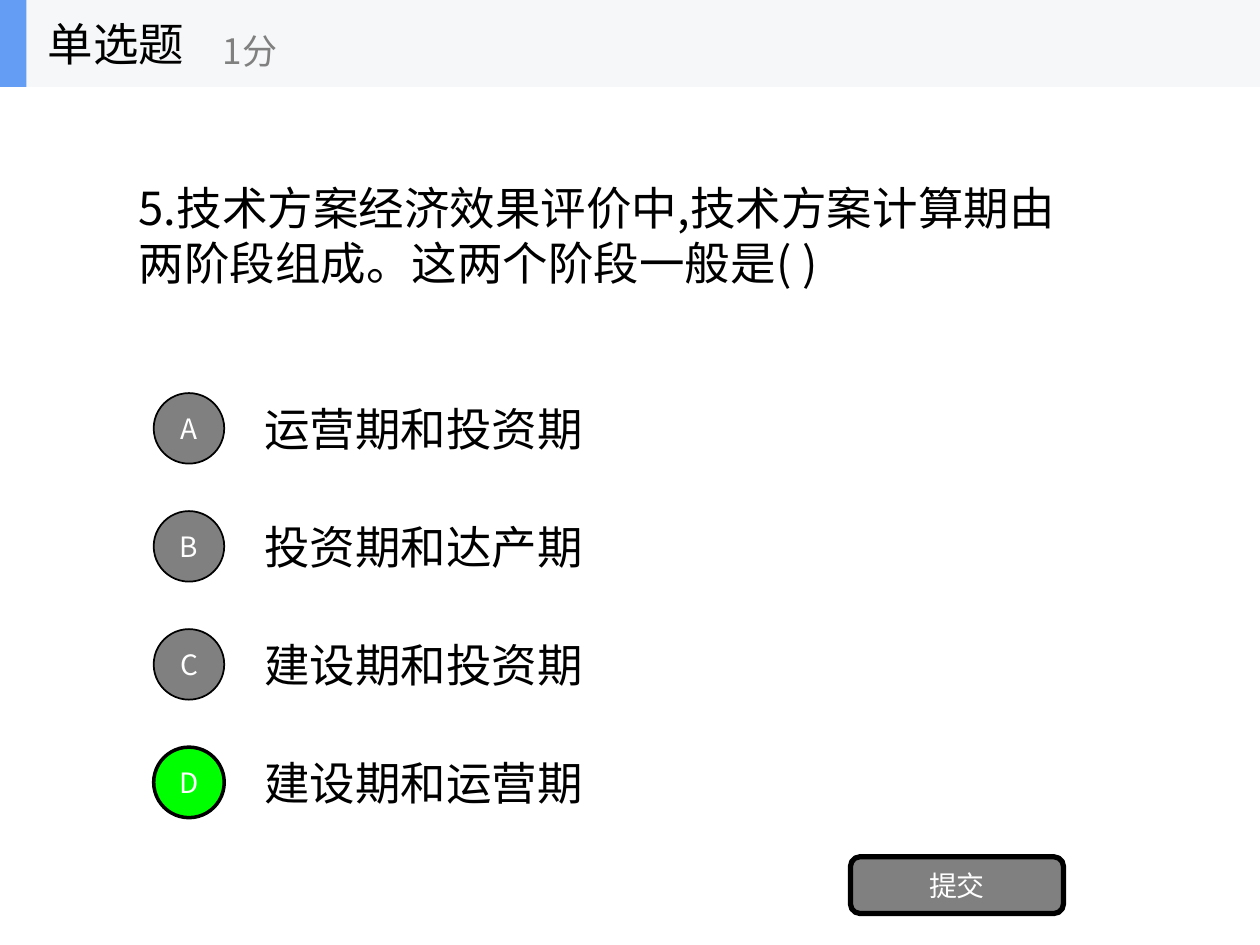
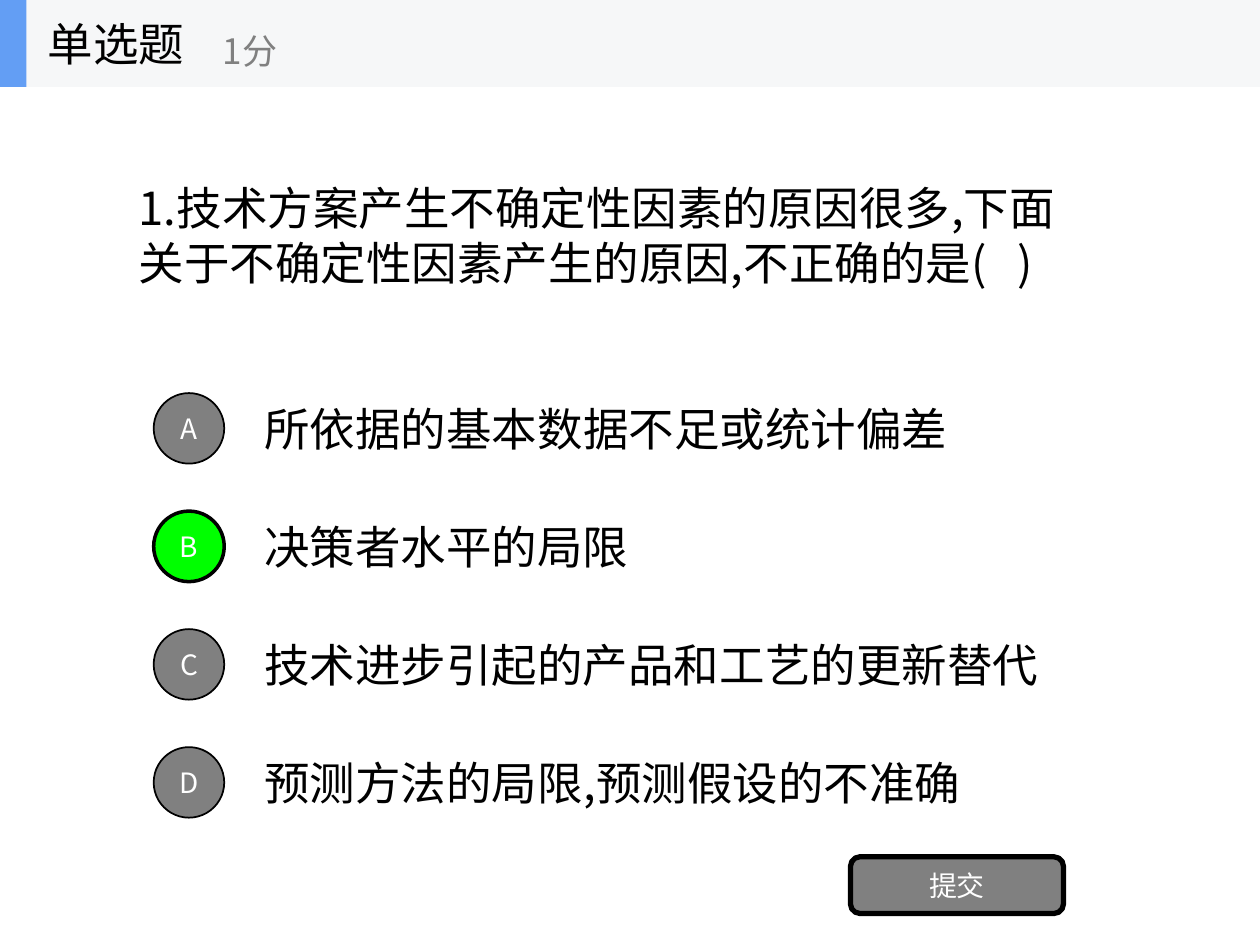
import pptx
import pptx.util
import pptx.dml.color
import pptx.enum.shapes
import pptx.enum.text
import pptx.oxml.ns
from lxml import etree

Inches = pptx.util.Inches
SHAPE = pptx.enum.shapes.MSO_SHAPE
ALIGN = pptx.enum.text.PP_ALIGN
FONT = "Noto Sans CJK SC"
HUES = {"ink": "000000", "white": "FFFFFF", "gray": "808080",
        "right": "00FF00", "band": "F6F7F8", "mark": "639EF4"}

# Each choice is a text and its number of lines
TASKS = [
    {"ask": "5.技术方案经济效果评价中,技术方案计算期由两阶段组成。这两个阶段一般是( )",
     "picks": [("运营期和投资期", 1), ("投资期和达产期", 1),
               ("建设期和投资期", 1), ("建设期和运营期", 1)],
     "key": "D"},
    {"ask": "1.技术方案产生不确定性因素的原因很多,下面关于不确定性因素产生的原因,不正确的是(   )",
     "picks": [("所依据的基本数据不足或统计偏差", 1), ("决策者水平的局限", 1),
               ("技术进步引起的产品和工艺的更新替代", 1),
               ("预测方法的局限,预测假设的不准确", 2)],
     "key": "B"},
]

# Layout in inches
DOT = 0.56          # circle size
TOP = 3.12          # first circle
STEP = 2.81 / 3     # from one circle to the next
BAND = 0.69         # header height


def color(name):
    return pptx.dml.color.RGBColor.from_string(HUES[name])


def place(shape, box):
    shape.left, shape.top, shape.width, shape.height = map(Inches, box)


def write(shape, text, size=26, hue="ink", align=ALIGN.LEFT):
    """Put one formatted paragraph, centred in height, into a shape."""
    frame = shape.text_frame
    frame.word_wrap = True
    frame.auto_size = pptx.enum.text.MSO_AUTO_SIZE.NONE
    frame.vertical_anchor = pptx.enum.text.MSO_ANCHOR.MIDDLE
    para = frame.paragraphs[0]
    para.alignment = align
    para.space_before = pptx.util.Pt(0)
    run = para.add_run()
    run.text = text
    run.font.size = pptx.util.Pt(size)
    run.font.color.rgb = color(hue)
    run.font.name = FONT
    east = etree.SubElement(run.font._element, pptx.oxml.ns.qn("a:ea"))
    east.set("typeface", FONT)
    return para


def label(slide, box, text, **style):
    write(slide.shapes.add_textbox(*map(Inches, box)), text, **style)


def block(slide, kind, box, fill, line=0):
    shape = slide.shapes.add_shape(kind, *map(Inches, box))
    shape.shadow.inherit = False
    shape.fill.solid()
    shape.fill.fore_color.rgb = color(fill)
    if line:
        shape.line.color.rgb = color("ink")
        shape.line.width = pptx.util.Pt(line)
    else:
        shape.line.fill.background()
    return shape


def button(slide, kind, box, text, fill="gray", line=1):
    shape = block(slide, kind, box, fill, line)
    write(shape, text, size=16, hue="white", align=ALIGN.CENTER)


def header(slide):
    block(slide, SHAPE.RECTANGLE, (0, 0, 10, BAND), "band")
    block(slide, SHAPE.RECTANGLE, (0, 0, 0.21, BAND), "mark")
    title = slide.shapes.title
    place(title, (0.28, 0, 2.08, BAND))
    write(title, "单选题")
    title.element.getparent().append(title.element)  # above the band
    label(slide, (1.67, 0.12, 2.5, 0.56), "1分", size=20, hue="gray")


def question(slide, text):
    body = slide.placeholders[1]
    place(body, (1, 1.38, 7.81, 0.97))
    props = write(body, text)._p.get_or_add_pPr()
    props.set("marL", "0")
    props.set("indent", "0")
    etree.SubElement(props, pptx.oxml.ns.qn("a:buNone"))


def choice(slide, row, letter, text, lines, right):
    top = TOP + row * STEP
    commas = text.count(",")
    wide = 0.32 + 0.36 * (len(text) - commas) + 0.09 * commas
    high = 0.11 + 0.43 * lines
    label(slide, (2, top + (DOT - high) / 2, wide, high), text)
    button(slide, SHAPE.OVAL, (1.22, top, DOT, DOT), letter,
           fill="right" if right else "gray", line=2 if right else 1)


def main():
    deck = pptx.Presentation()
    deck.slide_width, deck.slide_height = Inches(10), Inches(7.5)
    for task in TASKS:
        slide = deck.slides.add_slide(deck.slide_layouts[1])
        question(slide, task["ask"])
        for row, (letter, pick) in enumerate(zip("ABCD", task["picks"])):
            choice(slide, row, letter, *pick, right=letter == task["key"])
        button(slide, SHAPE.ROUNDED_RECTANGLE, (6.75, 6.8, 1.69, 0.45),
               "提交", line=3)
        header(slide)
    deck.save("out.pptx")


if __name__ == "__main__":
    main()
